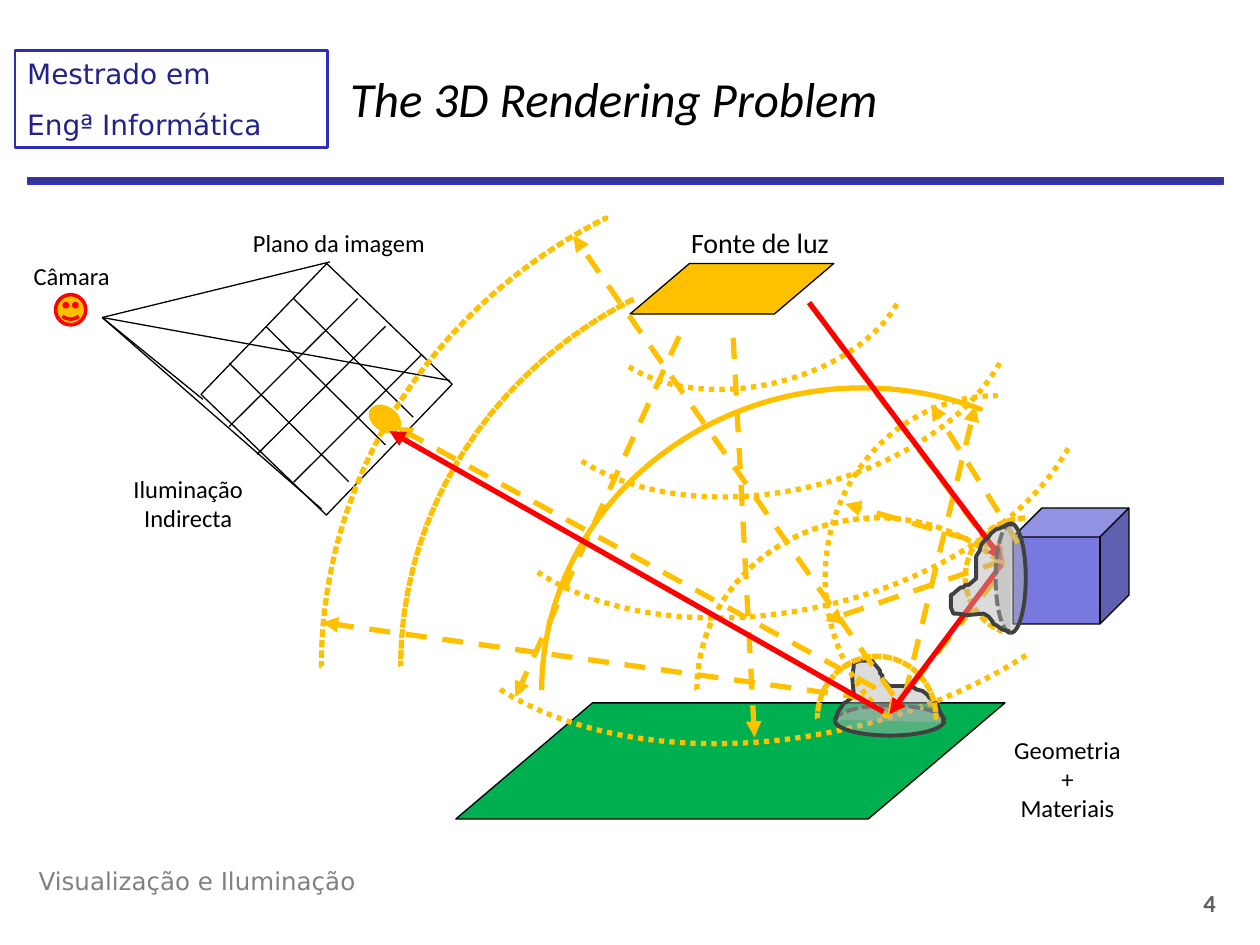
from math import cos, radians, sin

from lxml import etree
from pptx import Presentation
from pptx.dml.color import RGBColor
from pptx.enum.dml import MSO_LINE
from pptx.enum.shapes import MSO_CONNECTOR, MSO_SHAPE
from pptx.enum.text import MSO_ANCHOR, PP_ALIGN
from pptx.oxml.ns import qn
from pptx.util import Cm, Pt

RECTANGLE, ELLIPSE, SMILEY = MSO_SHAPE.RECTANGLE, MSO_SHAPE.OVAL, MSO_SHAPE.SMILEY_FACE
PARALLELOGRAM, CUBE = MSO_SHAPE.PARALLELOGRAM, MSO_SHAPE.CUBE
ARC, BLOCK_ARC = MSO_SHAPE.ARC, MSO_SHAPE.BLOCK_ARC
STRAIGHT = MSO_CONNECTOR.STRAIGHT
DOTTED, SHORT_DASH, DASHED = MSO_LINE.ROUND_DOT, MSO_LINE.SQUARE_DOT, MSO_LINE.DASH
LEFT, CENTER, RIGHT = PP_ALIGN.LEFT, PP_ALIGN.CENTER, PP_ALIGN.RIGHT
TOP, MIDDLE = MSO_ANCHOR.TOP, MSO_ANCHOR.MIDDLE

BLACK = RGBColor(0x00, 0x00, 0x00)
WHITE = RGBColor(0xFF, 0xFF, 0xFF)
AMBER = RGBColor(0xFF, 0xC0, 0x00)
RED = RGBColor(0xFF, 0x00, 0x00)
GREEN = RGBColor(0x00, 0xB0, 0x50)
VIOLET = RGBColor(0x78, 0x78, 0xDE)
LOBE_FILL = RGBColor(0xB3, 0xB3, 0xB3)
LOBE_EDGE = RGBColor(0x40, 0x40, 0x40)
RULE_FILL = RGBColor(0x33, 0x33, 0x99)
RULE_EDGE = RGBColor(0x33, 0x33, 0xCC)
COURSE_EDGE = RGBColor(0x2D, 0x2D, 0xB9)
COURSE_TEXT = RGBColor(0x22, 0x22, 0x8B)
FOOTER_GREY = RGBColor(0x80, 0x80, 0x80)
NUMBER_GREY = RGBColor(0x5F, 0x5F, 0x5F)

DEFAULT_INSETS = (0.25, 0.13, 0.25, 0.13)
TIGHT_INSETS = (0.05, 0.03, 0.05, 0)

LOBE_OUTLINE = [
    (0, 119), (3, 107), (5, 102), (13, 91), (15, 86), (20, 84), (30, 76), (36, 66),
    (33, 33), (36, 13), (36, 5), (48, 0), (74, 0), (76, 5), (81, 10), (89, 20),
    (89, 25), (94, 30), (94, 36), (107, 51), (152, 51), (163, 58), (175, 61), (185, 69),
    (188, 74), (198, 81), (206, 91), (208, 99), (213, 109), (216, 114), (216, 124)]


def style(shape, fill=None, edge=BLACK, weight=0.75, dash=None, alpha=None, turn=0):
    """Set fill, outline and rotation of a shape."""
    shape.shadow.inherit = False
    shape.rotation = turn
    if fill is None:
        shape.fill.background()
    else:
        shape.fill.solid()
        shape.fill.fore_color.rgb = fill
    if alpha is not None:
        color = shape._element.spPr.find(qn("a:solidFill"))[0]
        etree.SubElement(color, qn("a:alpha")).set("val", str(alpha * 1000))
    shape.line.color.rgb = edge
    shape.line.width = Pt(weight)
    if dash is not None:
        shape.line.dash_style = dash
    return shape


def draw(slide, kind, left, top, width, height, adjust=(), **look):
    """Add a styled preset shape, measured in centimetres."""
    shape = slide.shapes.add_shape(kind, Cm(left), Cm(top), Cm(width), Cm(height))
    for index, value in enumerate(adjust):
        shape.adjustments[index] = value
    return style(shape, **look)


def connect(slide, box, start, end, color=BLACK, weight=0.75, dash=None, arrow=False):
    """Add a straight line between two points of a box."""
    left, top = box
    line = slide.shapes.add_connector(STRAIGHT, Cm(left + start[0]), Cm(top + start[1]),
                                      Cm(left + end[0]), Cm(top + end[1]))
    line.line.color.rgb = color
    line.line.width = Pt(weight)
    if dash is not None:
        line.line.dash_style = dash
    properties = line._element.spPr
    if arrow:
        etree.SubElement(properties.find(qn("a:ln")), qn("a:tailEnd")).set("type", "triangle")
    etree.SubElement(properties, qn("a:effectLst"))


def write(slide, text, left, top, width, height, host=None, size=14, font="Calibri",
          color=BLACK, bold=False, italic=False, align=LEFT, anchor=TOP,
          insets=DEFAULT_INSETS, gap=0, wrap=True):
    """Write lines of text in a host shape or in a new text box."""
    host = host or slide.shapes.add_textbox(Cm(left), Cm(top), Cm(width), Cm(height))
    frame = host.text_frame
    frame.word_wrap = wrap
    frame.vertical_anchor = anchor
    (frame.margin_left, frame.margin_top,
     frame.margin_right, frame.margin_bottom) = map(Cm, insets)
    frame.text = text
    for index, paragraph in enumerate(frame.paragraphs):
        paragraph.alignment = align
        paragraph.space_before = Pt(gap if index else 0)
        paragraph.font.size, paragraph.font.name = Pt(size), font
        paragraph.font.bold, paragraph.font.italic = bold, italic
        paragraph.font.color.rgb = color


def header(slide, left, top):
    """Place the course name, the title and the rule."""
    draw(slide, RECTANGLE, left + 0.26, top + 2.58, 24.1, 0.13, fill=RULE_FILL, edge=RULE_EDGE)
    course_box = (left, top + 0.02, 6.3, 1.96)
    course = draw(slide, RECTANGLE, *course_box, edge=COURSE_EDGE, weight=1.5)
    write(slide, "Mestrado em\nEngª Informática", *course_box, host=course, size=16,
          font="DejaVu Sans", color=COURSE_TEXT, gap=9.5)
    write(slide, "The 3D Rendering Problem", left + 6.51, top - 0.09, 17.65, 2.11,
          size=28, italic=True, anchor=MIDDLE)


def footer(slide, left, top):
    """Place the subject name and the slide number."""
    write(slide, "Visualização e Iluminação", left, top, 10.16, 1.27,
          font="DejaVu Sans", color=FOOTER_GREY)
    write(slide, "4", left + 21.49, top + 0.46, 2.74, 1.27,
          color=NUMBER_GREY, bold=True, align=RIGHT)


def camera(slide, left, top):
    """Place the camera and its gridded image plane."""
    box = (left, top)
    draw(slide, RECTANGLE, left + 4.63, top + 1.52, 3.51, 3.66, fill=WHITE, turn=43.9)
    grid = [((-2.59, 2.58), [(7.01, 1.52), (7.57, 2.08), (8.31, 2.64)]),
            ((2.41, 2.39), [(5.72, 1.52), (5.16, 2.08), (4.42, 2.82)])]
    for (across, down), starts in grid:
        for x, y in starts:
            connect(slide, box, (x, y), (x + across, y + down))
    for corner in [(6.45, 0.78), (3.89, 3.55), (6.28, 5.76), (8.87, 3.17)]:
        connect(slide, box, (1.86, 1.9), corner)
    write(slide, "Plano da imagem", left + 4.85, top + 0.07, 3.66, 0.76, insets=TIGHT_INSETS)
    draw(slide, SMILEY, left + 0.92, top + 1.44, 0.61, 0.61, fill=AMBER, edge=RED, weight=2)
    write(slide, "Câmara", left, top + 0.73, 2.49, 0.91, align=CENTER, insets=TIGHT_INSETS)


def light_source(slide, left, top):
    """Place the area light and its label."""
    write(slide, "Fonte de luz", left + 0.79, top, 3.66, 0.71, size=16, align=CENTER,
          insets=TIGHT_INSETS)
    draw(slide, PARALLELOGRAM, left, top + 0.79, 4.11, 1.02, [1.177], fill=AMBER, turn=180)


def geometry(slide, left, top):
    """Place the floor, the cube and their label."""
    draw(slide, PARALLELOGRAM, left, top + 3.93, 11.07, 2.34, [1.177], fill=GREEN)
    draw(slide, CUBE, left + 11.23, top, 2.34, 2.34, [0.25], fill=VIOLET)
    write(slide, "Geometria\n+\nMateriais", left + 11.1, top + 4.54, 2.46, 2.11,
          align=CENTER, insets=TIGHT_INSETS)


def waves(slide, left, top, kind, fronts, rays, turn=0):
    """Place dotted wave fronts and the dashed rays that cross them."""
    for x, y, width, height, start, end in fronts:
        draw(slide, kind, left + x, top + y, width, height, [start, end, 0][:2 + (kind == BLOCK_ARC)],
             edge=AMBER, weight=3, dash=DOTTED, turn=turn)
    for start, end in rays:
        connect(slide, (left, top), start, end, AMBER, 3, DASHED, arrow=True)


def scatter_lobe(slide, center_x, center_y, turn):
    """Place a reflection lobe on its disc, turned about the disc centre."""
    look = {"fill": LOBE_FILL, "alpha": 46, "edge": LOBE_EDGE, "weight": 2.25}
    for half, dash in [(90, None), (270, SHORT_DASH)]:
        draw(slide, ARC, center_x - 0.3, center_y - 1.1, 0.61, 2.21, [162, 54],
             dash=dash, turn=(turn + half) % 360, **look)
    lobe_x = center_x + 0.58 * sin(radians(turn)) - 1.08
    lobe_y = center_y - 0.58 * cos(radians(turn)) - 0.62
    builder = slide.shapes.build_freeform(*LOBE_OUTLINE[0], scale=Cm(0.01))
    builder.add_line_segments(LOBE_OUTLINE[1:], close=False)
    style(builder.convert_to_shape(Cm(lobe_x), Cm(lobe_y)), turn=turn, **look)


def indirect_light(slide, left, top):
    """Place the lit spot on the image plane and its label."""
    draw(slide, ELLIPSE, left + 5.03, top, 0.64, 0.43, fill=AMBER, edge=AMBER, weight=2, turn=34.3)
    write(slide, "Iluminação\nIndirecta", left, top + 1.19, 2.77, 1.45, align=CENTER, wrap=False)


def light_path(slide, left, top):
    """Place the red path from the light to the image plane."""
    for start, end in [((8.51, 0.1), (12.42, 5.3)), ((12.39, 5.38), (10.13, 8.4)),
                       ((10.01, 8.35), (0.05, 2.69))]:
        connect(slide, (left, top), start, end, RED, 3, arrow=True)


def main():
    """Build and save the slide."""
    deck = Presentation()
    deck.slide_width, deck.slide_height = Cm(25.4), Cm(19.05)
    slide = deck.slides.add_slide(deck.slide_layouts[6])
    header(slide, 0.3, 1)
    footer(slide, 0.53, 17.32)
    camera(slide, 0.2, 4.5)
    light_source(slide, 12.7, 4.52)
    geometry(slide, 9.19, 10.24)
    waves(slide, 10, 1.5, ARC,
          [(3.13, 1.07, 3.99, 6.43, 173.36, 41.45), (2.42, 0.28, 6.25, 10.01, 173.36, 41.45),
           (1.73, 0.51, 7.92, 12.7, 173.36, 41.45), (1.1, 0.74, 9.68, 15.49, 189.91, 41.45)],
          [((6.31, 4.6), (10.27, 9.9)), ((4.78, 5.31), (5.21, 13.36)),
           ((3.69, 5.28), (0.39, 12.55))], turn=77.7)
    scatter_lobe(slide, 17.93, 14.52, 0)
    indirect_light(slide, 2.41, 8.23)
    waves(slide, 16, 8, BLOCK_ARC,
          [(3.51, 2.39, 2.39, 2.49, 122.76, 215.85), (0.43, 0.18, 7.32, 6.91, 130.88, 215.85)],
          [((4.07, 3.68), (1.88, 6.43)), ((4.22, 3.3), (0.64, 4.52)),
           ((4.22, 3.07), (1.04, 2.16)), ((4.52, 2.95), (2.77, 0.15))], turn=270)
    waves(slide, 6, 3, BLOCK_ARC,
          [(10.48, 10.23, 2.39, 2.49, 108, 215.85), (8.05, 7.44, 7.32, 6.91, 108, 188.81),
           (4.92, 4.82, 12.93, 12.19, 108, 175.67), (2.08, 2.03, 17.83, 16.79, 108, 144.23),
           (0.48, 0.18, 21.74, 20.5, 108, 144.23)],
          [((11.42, 11.07), (0.5, 9.55)), ((11.65, 10.87), (2, 5.61)),
           ((12.01, 11.02), (5.56, 1.75)), ((12.24, 11.02), (13.66, 5.18))])
    light_path(slide, 7.8, 6)
    scatter_lobe(slide, 20.37, 11.65, 270)
    deck.save("out.pptx")


if __name__ == "__main__":
    main()
